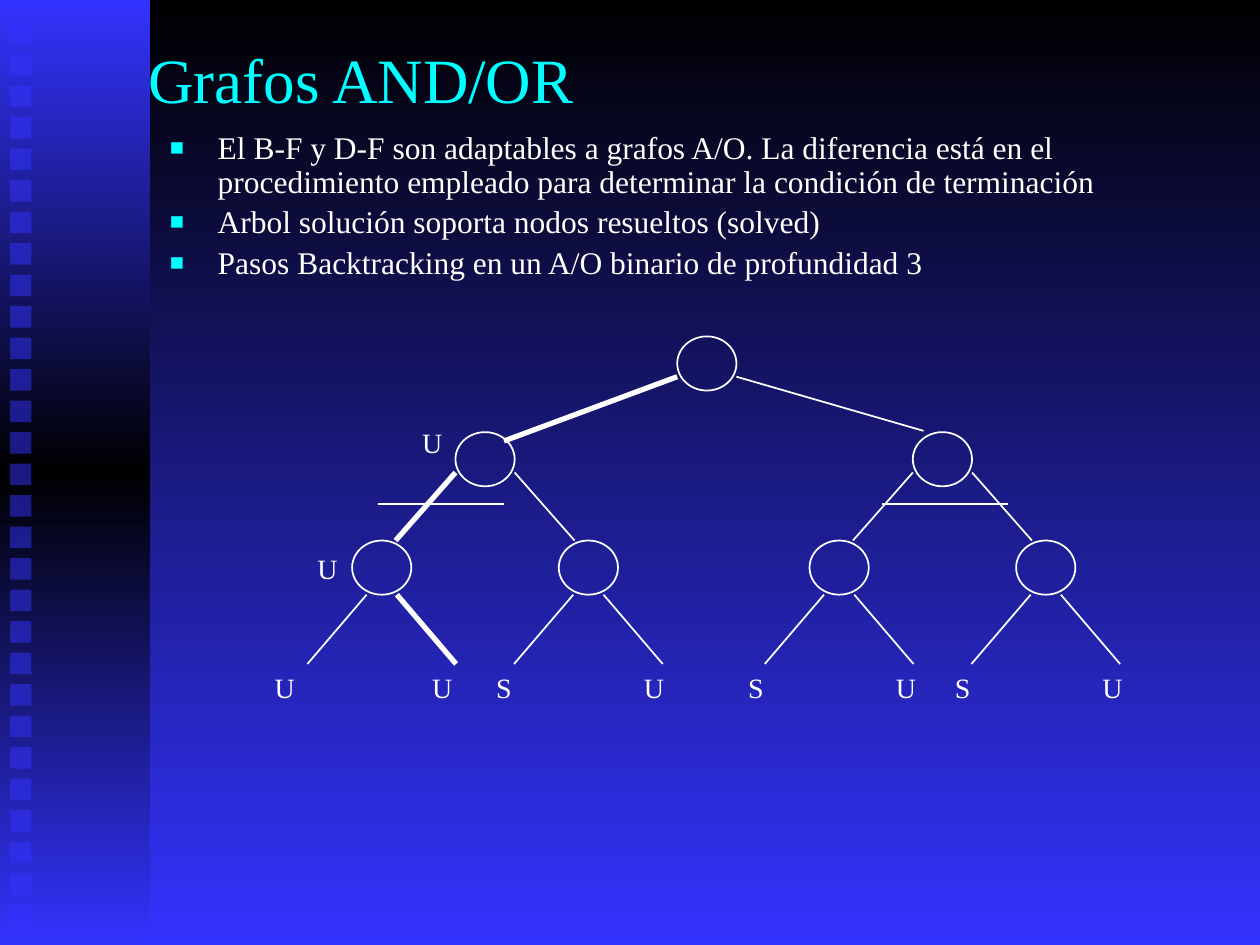
from copy import deepcopy

from lxml.etree import SubElement
from pptx import Presentation
from pptx.dml.color import RGBColor
from pptx.enum.shapes import MSO_CONNECTOR, MSO_SHAPE
from pptx.enum.text import MSO_ANCHOR, PP_ALIGN
from pptx.oxml.ns import qn
from pptx.util import Inches, Pt

TITLE = "Grafos AND/OR"
POINTS = [
    "El B-F y D-F son adaptables a grafos A/O. La diferencia está en el "
    "procedimiento empleado para determinar la condición de terminación",
    "Arbol solución soporta nodos resueltos (solved)",
    "Pasos Backtracking en un A/O binario de profundidad 3",
]
LEAF_LABELS = [("U", 2.26), ("U", 3.51), ("S", 4.0), ("U", 5.19),
               ("S", 6.0), ("U", 7.19), ("S", 7.64), ("U", 8.83)]
NODE_LABELS = [("U", 2.6, 4.33), ("U", 3.43, 3.33)]

COLORS = {"black": "000000", "blue": "3333FF", "cyan": "00FFFF", "white": "FFFFFF"}
FONT = "Times New Roman"
WIDTH, HEIGHT = 10, 7.5
RAIL_WIDTH = 1.19
SQUARE, SQUARE_STEP, SQUARE_COUNT = 0.17, 0.25, 29

# Tree: node size, top of each level, and distances from a node's centre
NODE_W, NODE_H = 0.47, 0.43
ROOT_X, ROOT_TOP = 5.61, 2.67
PARENTS, PARENT_TOP = (3.85, 7.48), 3.43
CHILD_DX, CHILD_TOP = 0.82, 4.29
LEAF_TOP = 5.27
THIN, BOLD = 1, 3
ARC = [(-0.42, 4.03), (-0.3, 4.14), (-0.17, 4.19), (-0.04, 4.19),
       (0.11, 4.19), (0.26, 4.12), (0.4, 3.99)]

prs = Presentation()
prs.slide_width, prs.slide_height = Inches(WIDTH), Inches(HEIGHT)
slide = prs.slides.add_slide(prs.slide_layouts[6])


def rgb(name):
    return RGBColor.from_string(COLORS[name])


def paint_gradient(fill, owner, names):
    """Fill from top to bottom with evenly spaced colours."""
    fill.gradient()
    stops = next(owner.iter(qn("a:gsLst")))
    for _ in names[2:]:
        stops.append(deepcopy(stops[0]))
    for i, (stop, name) in enumerate(zip(fill.gradient_stops, names)):
        stop.color.rgb = rgb(name)
        stop.position = i / (len(names) - 1)
    fill.gradient_angle = 270


def add_rectangle(x, y, w, h):
    rectangle = slide.shapes.add_shape(
        MSO_SHAPE.RECTANGLE, Inches(x), Inches(y), Inches(w), Inches(h))
    rectangle.shadow.inherit = False
    rectangle.line.fill.background()
    return rectangle


def add_bullet(paragraph):
    props = paragraph._p.get_or_add_pPr()
    props.set("marL", str(Inches(0.38)))
    props.set("indent", str(-Inches(0.38)))
    color = SubElement(props, qn("a:buClr"))
    SubElement(color, qn("a:srgbClr"), val=COLORS["cyan"])
    SubElement(props, qn("a:buSzPct"), val="75000")
    SubElement(props, qn("a:buFont"), typeface="Arial")
    SubElement(props, qn("a:buChar"), char="■")


def add_text(lines, x, y, w, h, size, color="white", bullets=False, wrap=True,
             anchor=MSO_ANCHOR.TOP, align=PP_ALIGN.LEFT):
    frame = slide.shapes.add_textbox(
        Inches(x), Inches(y), Inches(w), Inches(h)).text_frame
    frame.word_wrap = wrap
    frame.vertical_anchor = anchor
    for i, line in enumerate(lines):
        paragraph = frame.add_paragraph() if i else frame.paragraphs[0]
        paragraph.alignment = align
        if bullets:
            paragraph.line_spacing = 0.9
            if i:
                paragraph.space_before = Pt(size * 0.2)
            add_bullet(paragraph)
        run = paragraph.add_run()
        run.text = line
        run.font.name, run.font.size = FONT, Pt(size)
        run.font.color.rgb = rgb(color)


def add_label(letter, center, top):
    add_text([letter], center - 0.18, top, 0.36, 0.37, 16,
             wrap=False, align=PP_ALIGN.CENTER)


def add_node(center, top):
    node = slide.shapes.add_shape(
        MSO_SHAPE.OVAL, Inches(center - NODE_W / 2), Inches(top),
        Inches(NODE_W), Inches(NODE_H))
    node.shadow.inherit = False
    node.fill.background()
    node.line.color.rgb, node.line.width = rgb("white"), Pt(THIN)


def add_edge(x1, y1, x2, y2, bold=False):
    edge = slide.shapes.add_connector(
        MSO_CONNECTOR.STRAIGHT, Inches(x1), Inches(y1), Inches(x2), Inches(y2))
    edge.line.color.rgb = rgb("white")
    edge.line.width = Pt(BOLD if bold else THIN)
    SubElement(edge._element.spPr, qn("a:effectLst"))


def bezier(p0, p1, p2, p3, steps=12):
    for i in range(1, steps + 1):
        t = i / steps
        weights = ((1 - t) ** 3, 3 * t * (1 - t) ** 2, 3 * t * t * (1 - t), t ** 3)
        yield tuple(sum(w * p[axis] for w, p in zip(weights, (p0, p1, p2, p3)))
                    for axis in (0, 1))


def add_and_arc(center):
    """Draw the arc that joins the two branches of an AND node."""
    controls = [(center + dx, y) for dx, y in ARC]
    builder = slide.shapes.build_freeform(*controls[0], scale=Inches(1))
    curve = [*bezier(*controls[:4]), *bezier(*controls[3:])]
    builder.add_line_segments(curve, close=False)
    arc = builder.convert_to_shape()
    arc.shadow.inherit = False
    arc.fill.background()
    arc.line.color.rgb, arc.line.width = rgb("white"), Pt(THIN)


# Background and side rail
paint_gradient(slide.background.fill, slide._element, ["black", "blue"])
rail = add_rectangle(0, 0, RAIL_WIDTH, HEIGHT)
paint_gradient(rail.fill, rail._element, ["blue", "black", "blue"])
for row in range(SQUARE_COUNT):
    square = add_rectangle(0.08, 0.18 + row * SQUARE_STEP, SQUARE, SQUARE)
    square.fill.solid()
    square.fill.fore_color.rgb = rgb("blue")
    SubElement(next(square._element.spPr.iter(qn("a:srgbClr"))),
               qn("a:alpha"), val="50000")

add_text([TITLE], 1.08, 0, 8.5, 1.25, 36, color="cyan", anchor=MSO_ANCHOR.MIDDLE)
add_text(POINTS, 1.25, 1, 8.5, 1.42, 18, bullets=True)

# Tree; the bold edges mark the path followed by backtracking
add_node(ROOT_X, ROOT_TOP)
add_edge(ROOT_X - NODE_W / 2, 2.99, 4, 3.5, bold=True)
add_edge(ROOT_X + NODE_W / 2, 2.99, 7.33, 3.42)
for parent in PARENTS:
    add_node(parent, PARENT_TOP)
    add_and_arc(parent)
    for side in (-1, 1):
        child = parent + side * CHILD_DX
        on_path = parent == PARENTS[0] and side == -1
        add_node(child, CHILD_TOP)
        add_edge(parent + side * NODE_W / 2, 3.75,
                 parent + side * 0.71, CHILD_TOP, bold=on_path)
        for leaf in (-1, 1):
            add_edge(child + leaf * 0.12, CHILD_TOP + NODE_H,
                     child + leaf * 0.59, LEAF_TOP, bold=on_path and leaf == 1)

for letter, center in LEAF_LABELS:
    add_label(letter, center, LEAF_TOP)
for letter, center, top in NODE_LABELS:
    add_label(letter, center, top)

prs.save("out.pptx")
